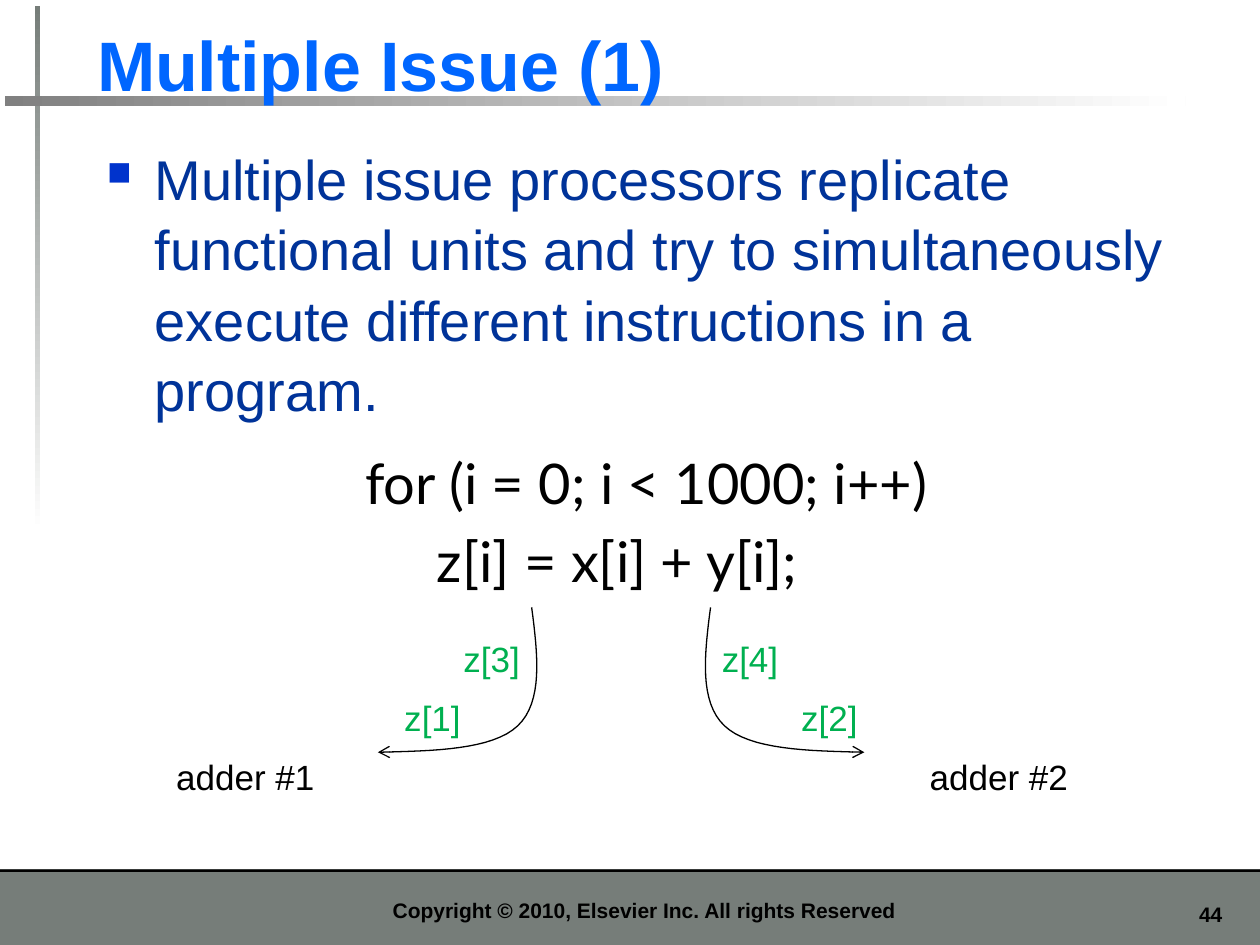
import pptx
import pptx.util
import pptx.dml.color
import pptx.enum.shapes
import pptx.enum.text
import pptx.oxml
import pptx.oxml.ns

Inches, Pt = pptx.util.Inches, pptx.util.Pt
ALIGN = pptx.enum.text.PP_ALIGN
ANCHOR = pptx.enum.text.MSO_ANCHOR
NS = pptx.oxml.ns.nsdecls("a")
BLACK, GREEN, GRAY = "000000", "00B050", "767D79"


def color(code):
    return pptx.dml.color.RGBColor.from_string(code)


def place(shape, box):
    for name, size in zip(("left", "top", "width", "height"), box):
        setattr(shape, name, Inches(size))


def style(para, code, font, **form):
    """Set font values, and paragraph values given in form."""
    for name, value in font.items():
        setattr(para.font, name, value)
    para.font.color.rgb = color(code)
    for name, value in form.items():
        setattr(para, name, value)


def add_text(slide, box, lines, code, font, wrap=False,
             anchor=ANCHOR.TOP, **form):
    frame = slide.shapes.add_textbox(*map(Inches, box)).text_frame
    frame.word_wrap = wrap
    frame.vertical_anchor = anchor
    for i, line in enumerate(lines):
        para = frame.add_paragraph() if i else frame.paragraphs[0]
        para.text = line
        style(para, code, font, **form)
        if i:
            para.space_before = Pt(6.4)
    return frame


def add_bar(slide, box, code, angle=None):
    """Plain bar, or one fading to white when an angle is given."""
    kind = pptx.enum.shapes.MSO_SHAPE.RECTANGLE
    bar = slide.shapes.add_shape(kind, *map(Inches, box))
    bar.shadow.inherit = False
    bar.line.fill.background()
    if angle is None:
        bar.fill.solid()
        bar.fill.fore_color.rgb = color(code)
        return
    bar.fill.gradient()
    bar.fill.gradient_angle = angle
    for stop, tone in zip(bar.fill.gradient_stops, (code, "FFFFFF")):
        stop.color.rgb = color(tone)


def add_footer(slide, box):
    left, top, width, height = box
    add_bar(slide, box, GRAY)
    add_bar(slide, (left, top, width, 0.02), BLACK)
    font = dict(name="Arial", size=Pt(12), bold=True)
    add_text(slide, (left + 9.17, top + 0.21, 0.63, 0.3), ["44"], BLACK,
             font, wrap=True, alignment=ALIGN.RIGHT)
    add_text(slide, (left + 1.14, top + 0.08, 7.95, 0.39),
             ["Copyright © 2010, Elsevier Inc. All rights Reserved"], BLACK,
             font, wrap=True, anchor=ANCHOR.BOTTOM, alignment=ALIGN.CENTER)


def add_title(slide, box):
    title = slide.shapes.title
    place(title, box)
    frame = title.text_frame
    frame.text = "Multiple Issue (1)"
    frame.vertical_anchor = ANCHOR.BOTTOM
    style(frame.paragraphs[0], "0066FF",
          dict(name="Arial", size=Pt(40), bold=True), alignment=ALIGN.LEFT)


def add_body(slide, box):
    frame = slide.shapes.add_textbox(*map(Inches, box)).text_frame
    frame.word_wrap = True
    para = frame.paragraphs[0]
    para.text = ("Multiple issue processors replicate functional units and "
                 "try to simultaneously execute different instructions in "
                 "a program.")
    props = para._p.get_or_add_pPr()
    props.set("marL", str(Inches(0.38)))
    props.set("indent", str(Inches(-0.38)))
    for xml in (f'<a:buClr {NS}><a:srgbClr val="0033CC"/></a:buClr>',
                f'<a:buSzPct {NS} val="60000"/>',
                f'<a:buChar {NS} char="■"/>'):
        props.append(pptx.oxml.parse_xml(xml))
    style(para, "003399", dict(name="Arial", size=Pt(32)), line_spacing=1.05)


def add_curve(slide, knots, steps=16):
    """Arrow along cubic curves; knots are a start and three per curve."""
    points = []
    for k in range(0, len(knots) - 1, 3):
        for n in range(1, steps + 1):
            t = n / steps
            weights = ((1 - t) ** 3, 3 * t * (1 - t) ** 2,
                       3 * t * t * (1 - t), t ** 3)
            points.append(tuple(
                Inches(sum(w * p[axis] for w, p in zip(weights, knots[k:])))
                for axis in (0, 1)))
    pen = slide.shapes.build_freeform(*map(Inches, knots[0]))
    pen.add_line_segments(points, close=False)
    curve = pen.convert_to_shape()
    curve.shadow.inherit = False
    curve.fill.background()
    curve.line.color.rgb = color(BLACK)
    curve.line.width = Pt(0.75)
    curve.line._get_or_add_ln().append(
        pptx.oxml.parse_xml(f'<a:tailEnd {NS} type="arrow"/>'))


def add_flow(slide, box):
    left, top, width, height = box
    # Loop code
    add_text(slide, (left + 1.5, top, 4.7, 1.29),
             ["for (i = 0; i < 1000; i++)", "     z[i] = x[i] + y[i];"],
             BLACK, dict(name="Lato", size=Pt(32)))
    # Mirrored arrows to the adders
    knots = [(2.92, 1.31), (2.97, 1.69), (3.01, 2.06), (2.81, 2.25),
             (2.61, 2.44), (2.15, 2.45), (1.7, 2.46)]
    add_curve(slide, [(left + x, top + y) for x, y in knots])
    add_curve(slide, [(left + 7.26 - x, top + y) for x, y in knots])
    # Labels
    for text, x, y, wide, code in (
            ("adder #1", 0, 2.44, 1.31, BLACK),
            ("adder #2", 5.98, 2.44, 1.31, BLACK),
            ("z[1]", 1.81, 1.97, 0.65, GREEN),
            ("z[3]", 2.28, 1.5, 0.65, GREEN),
            ("z[2]", 4.96, 1.97, 0.65, GREEN),
            ("z[4]", 4.33, 1.5, 0.65, GREEN)):
        add_text(slide, (left + x, top + y, wide, 0.44), [text], code,
                 dict(name="Arial", size=Pt(20)))


def main():
    deck = pptx.Presentation()
    deck.slide_width, deck.slide_height = Inches(10), Inches(7.5)
    slide = deck.slides.add_slide(deck.slide_layouts[5])
    # Crossed rules, behind the title
    add_bar(slide, (0.28, 0.05, 0.04, 4.17), GRAY, 270)
    add_bar(slide, (0.04, 0.76, 9.37, 0.08), "808080", 0)
    slide.shapes._spTree.append(slide.shapes.title._element)
    add_title(slide, (0.67, 0.12, 9.06, 0.77))
    add_body(slide, (0.75, 1.07, 8.66, 2.44))
    add_flow(slide, (1.3, 3.51, 7.29, 2.88))
    add_footer(slide, (0, 6.9, 10, 0.6))
    deck.save("out.pptx")


if __name__ == "__main__":
    main()
